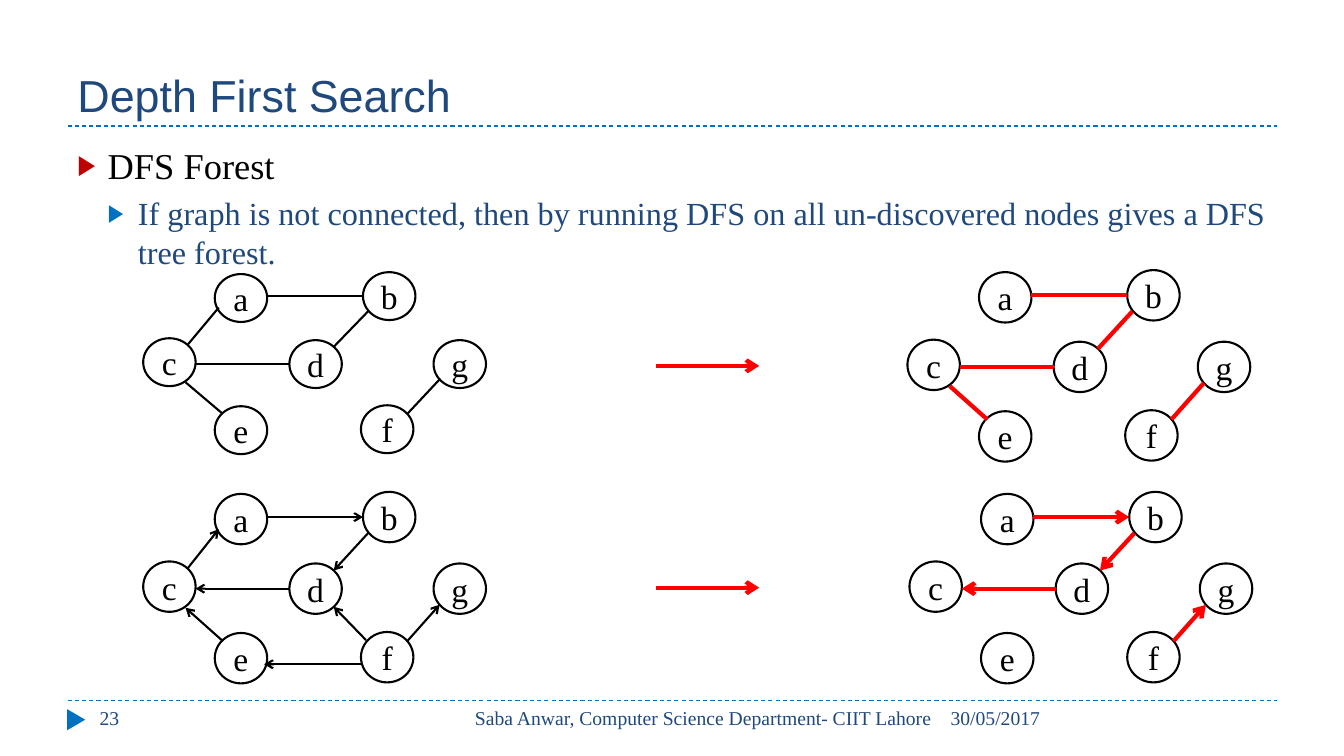
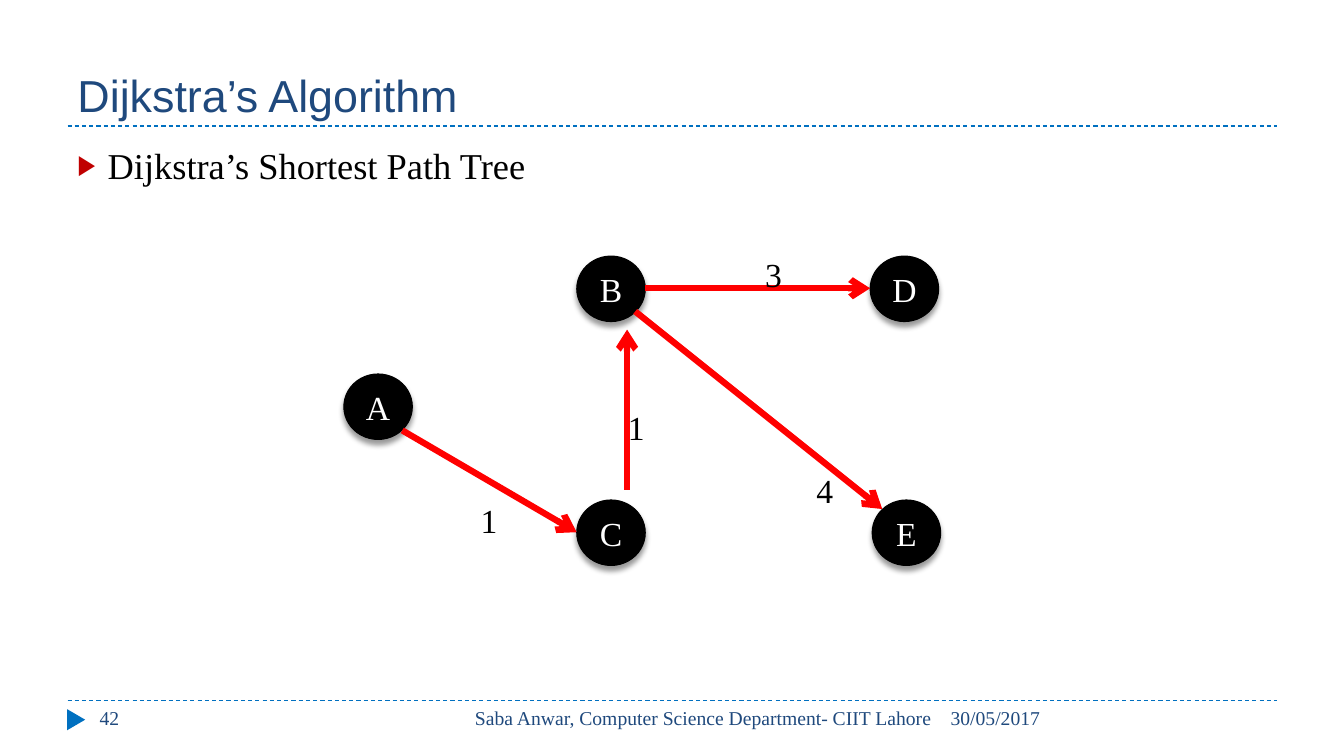
import pptx
import pptx.util
import pptx.dml.color
import pptx.enum.dml
import pptx.enum.shapes
import pptx.enum.text
import pptx.oxml.ns
from lxml import etree

PX = 9144  # EMU in one px, 100 px to the inch

RGB = pptx.dml.color.RGBColor
NAVY = RGB(0x1F, 0x49, 0x7D)
BLUE = RGB(0x00, 0x70, 0xC0)
CRIMSON = RGB(0xC0, 0x00, 0x00)
RED = RGB(0xFF, 0x00, 0x00)
BLACK = RGB(0x00, 0x00, 0x00)
WHITE = RGB(0xFF, 0xFF, 0xFF)

SANS = "Arial"
SERIF = "Times New Roman"
SHAPE = pptx.enum.shapes.MSO_SHAPE
ALIGN = pptx.enum.text.PP_ALIGN
ANCHOR = pptx.enum.text.MSO_ANCHOR

# Node places and edge ends, measured from the corner of a graph
NODES = {"a": (71, 2), "b": (218, 0), "c": (0, 69), "d": (145, 71),
         "e": (71, 140), "f": (216, 139), "g": (288, 71)}
EDGES = {"ab": (123, 25, 218, 25), "bd": (223, 41, 189, 78),
         "dc": (145, 96, 52, 96), "ec": (79, 148, 42, 115),
         "fg": (262, 148, 294, 112), "ca": (44, 76, 75, 37),
         "fe": (218, 171, 120, 171), "fd": (221, 147, 189, 114)}


def emu(*lengths):
    return [pptx.util.Emu(round(length * PX)) for length in lengths]


def add_xml(parent, tag, **attributes):
    return etree.SubElement(parent, pptx.oxml.ns.qn(tag), attributes)


def style(para, size, color, font=SERIF, align=ALIGN.LEFT):
    para.alignment = align
    para.font.size = pptx.util.Pt(size)
    para.font.name = font
    para.font.color.rgb = color


def add_text(page, place, text, size, color, font=SERIF, align=ALIGN.LEFT,
             anchor=ANCHOR.TOP):
    frame = page.shapes.add_textbox(*emu(*place)).text_frame
    frame.word_wrap = True
    frame.vertical_anchor = anchor
    frame.text = text
    style(frame.paragraphs[0], size, color, font, align)


def add_line(page, ends, color, width, arrow=False, dashed=False):
    line = page.shapes.add_connector(
        pptx.enum.shapes.MSO_CONNECTOR.STRAIGHT, *emu(*ends))
    line.line.color.rgb = color
    line.line.width = pptx.util.Pt(width)
    if dashed:
        line.line.dash_style = pptx.enum.dml.MSO_LINE.DASH
    if arrow:
        add_xml(line.line._get_or_add_ln(), "a:tailEnd", type="arrow")
    add_xml(line._element.spPr, "a:effectLst")


def add_node(page, place, letter, fill, text_color, outline):
    node = page.shapes.add_shape(SHAPE.OVAL, *emu(*place))
    node.shadow.inherit = False
    node.fill.solid()
    node.fill.fore_color.rgb = fill
    node.line.color.rgb = BLACK
    node.line.width = pptx.util.Pt(outline)
    frame = node.text_frame
    frame.word_wrap = False
    frame.vertical_anchor = ANCHOR.MIDDLE
    frame.text = letter
    style(frame.paragraphs[0], 24, text_color, align=ALIGN.CENTER)
    return node


def add_shadow(node):
    effects = node._element.spPr.find(pptx.oxml.ns.qn("a:effectLst"))
    shadow = add_xml(effects, "a:outerShdw", blurRad="50800", dist="43180",
                     dir="5400000", rotWithShape="0")
    color = add_xml(shadow, "a:srgbClr", val=str(BLACK))
    add_xml(color, "a:alpha", val="40000")


def add_bullets(page, texts):
    """One paragraph a level, each level deeper than the one before."""
    levels = [(26, BLACK, CRIMSON), (23, NAVY, BLUE)]
    frame = page.shapes.add_textbox(*emu(67, 137, 1200, 536)).text_frame
    frame.word_wrap = True
    for level, text in enumerate(texts):
        size, color, bullet_color = levels[level]
        para = frame.add_paragraph() if level else frame.paragraphs[0]
        para.text = text
        para.level = level
        if level:
            para.space_before = pptx.util.Pt(5)
        props = para._p.get_or_add_pPr()
        indent = 30 * PX
        props.set("marL", str(indent * (level + 1)))
        props.set("indent", str(-indent))
        add_xml(add_xml(props, "a:buClr"), "a:srgbClr", val=str(bullet_color))
        add_xml(props, "a:buSzPct", val="76000")
        add_xml(props, "a:buFont", typeface=SANS)
        add_xml(props, "a:buChar", char="▶")
        style(para, size, color)


def add_page(deck, title, number, bullets):
    """A page with the title, rules and footer that all slides share."""
    page = deck.slides.add_slide(deck.slide_layouts[6])
    for y in (125, 695):
        add_line(page, (67, y, 1267, y), BLUE, 0.75, dashed=True)
    marker = page.shapes.add_shape(SHAPE.ISOSCELES_TRIANGLE,
                                   *emu(65, 705, 21, 18))
    marker.rotation = 90
    marker.shadow.inherit = False
    marker.fill.solid()
    marker.fill.fore_color.rgb = BLUE
    marker.line.fill.background()
    add_text(page, (67, 17, 1200, 108), title, 32, NAVY, SANS,
             anchor=ANCHOR.BOTTOM)
    footers = [(89, 289, str(number), ALIGN.LEFT),
               (423, 511, "Saba Anwar, Computer Science Department- CIIT Lahore",
                ALIGN.RIGHT),
               (933, 334, "30/05/2017", ALIGN.LEFT)]
    for left, width, text, align in footers:
        add_text(page, (left, 695, width, 40), text, 14, NAVY, align=align)
    add_bullets(page, bullets)
    return page


def add_graph(page, left, top, edges, color, width, arrow, stretch=1):
    for letter, (x, y) in NODES.items():
        place = (left + x, top + y * stretch, 52, 50 * stretch)
        add_node(page, place, letter, WHITE, BLACK, 1.5)
    for edge in edges:
        x1, y1, x2, y2 = EDGES[edge]
        ends = (left + x1, top + y1 * stretch, left + x2, top + y2 * stretch)
        add_line(page, ends, color, width, arrow)


def add_forest_page(deck):
    page = add_page(deck, "Depth First Search", 23, [
        "DFS Forest",
        "If graph is not connected, then by running DFS on all un-discovered "
        "nodes gives a DFS tree forest."])
    # Undirected graph and its forest
    add_graph(page, 142, 270, ["ab", "bd", "dc", "ec", "fg", "ca"],
              BLACK, 1.5, False, stretch=0.95)
    add_graph(page, 900, 268, ["ab", "bd", "dc", "ec", "fg"], RED, 3, False)
    # Directed graph and its forest
    add_graph(page, 142, 488, EDGES, BLACK, 1.5, True)
    add_graph(page, 902, 488, ["ab", "bd", "dc", "fg"], RED, 3, True)
    for y in (363, 583):
        add_line(page, (651, y, 753, y), RED, 3, arrow=True)


def add_path_page(deck):
    page = add_page(deck, "Dijkstra’s Algorithm", 42,
                    ["Dijkstra’s Shortest Path Tree"])
    places = {"A": (341, 371), "B": (572, 254), "C": (572, 496),
              "D": (863, 254), "E": (865, 496)}
    for letter, place in places.items():
        add_shadow(add_node(page, (*place, 68, 65), letter, BLACK, WHITE, 0.75))
    # Arrow ends, weight, and corner of the weight
    weighted = [((399, 427, 572, 528), "1", (467, 491)),
                ((622, 486, 622, 327), "1", (613, 399)),
                ((640, 286, 863, 286), "3", (749, 247)),
                ((630, 309, 875, 505), "4", (800, 461))]
    for ends, weight, corner in weighted:
        add_line(page, ends, RED, 4.5, arrow=True)
        add_text(page, (*corner, 27, 50), weight, 24, BLACK)


def main():
    deck = pptx.Presentation()
    deck.slide_width, deck.slide_height = emu(1333, 750)
    add_forest_page(deck)
    add_path_page(deck)
    deck.save("out.pptx")


if __name__ == "__main__":
    main()
